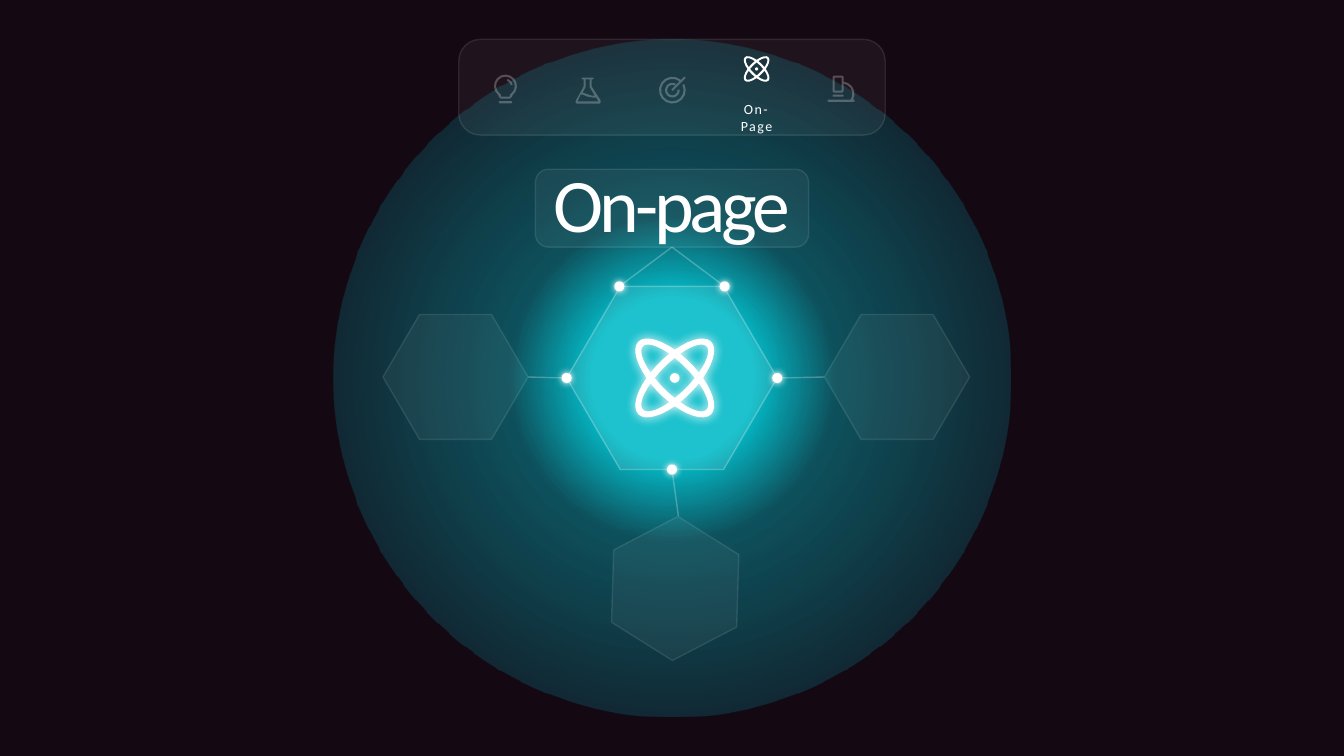
"""Build the On-page slide: an icon bar above a glowing hexagon network."""
from math import ceil, cos, radians, sin

from lxml.etree import SubElement
from pptx import Presentation
from pptx.dml.color import RGBColor
from pptx.enum.shapes import MSO_CONNECTOR as LINK, MSO_SHAPE as SHAPE
from pptx.enum.text import MSO_ANCHOR as ANCHOR, MSO_AUTO_SIZE as FIT, PP_ALIGN as ALIGN
from pptx.oxml.ns import qn
from pptx.util import Pt

BACKGROUND, WHITE, GLOW = "140812", "FFFFFF", "00F1FF"
CENTER = (480, 270)
GLOW_SIZE = 484
GLOW_STOPS = [(17, 77), (34, 31), (100, 0)]
BAR = (480, 62.3, 304.6, 68.4)
LABEL = ("On-Page", 10, 1.1)
LABEL_PLACE = (513.4, 68.4, 54, 19.4)
LABEL_FORMAT = {"word_wrap": True, "auto_size": FIT.SHAPE_TO_FIT_TEXT}
TITLE = ("On-page", 54, -3)
TITLE_PLACE = (480, 148.7, 195.1, 55.6)
TITLE_FORMAT = {"margin_left": Pt(7.2), "margin_top": Pt(3.6), "margin_right": Pt(7.2),
                "margin_bottom": Pt(11.5), "vertical_anchor": ANCHOR.MIDDLE, "word_wrap": False}

HUB_SIZE = (150.4, 130.8)
SATELLITE_SIZE = (103.7, 89.3)
SATELLITES = [(640.8, 269.3, 0), (325.4, 269.3, 0), (482.3, 420.4, 32.1)]
HUB_X, HUB_Y = HUB_SIZE[0] / 2, HUB_SIZE[1] / 2
PEAK = (480, 176.5)
DOTS = {"left": (480 - HUB_X, 270), "right": (480 + HUB_X, 270), "bottom": (480, 270 + HUB_Y),
        "top left": (480 - HUB_X / 2, 270 - HUB_Y), "top right": (480 + HUB_X / 2, 270 - HUB_Y)}
LINKS = [((377.3, 269.3), "left"), ((588.9, 269.3), "right"), ((484.6, 368.7), "bottom"),
         (PEAK, "top left"), (PEAK, "top right")]
DOT_SIZE = 7.2

ICON_UNIT = 0.72
BULB = [
    [(17, 27.4, 1.1, -90, 90), (6, 27.4, 1.1, 90, 270)],
    [(11.5, 11.4, 11.4, 129, 411), (18, 22), (16, 24), (7, 24), (5, 22)],
    [(11.5, 11.4, 9.3, 129, 411), (16, 20), (16, 22), (7, 22), (7, 20)],
    [(11.5, 11.4, 7.3, -75, -10), (11.5, 11.4, 5.3, -10, -75)],
]
FLASK = [
    [(17, 1, 1, -90, 90), (16, 2), (16, 9), (24.5, 22), (23, 24, 2, -20, 90),
     (2, 24, 2, 90, 200), (8, 9), (8, 2), (7, 1, 1, 90, 270)],
    [(10, 2), (14, 2), (14, 9.5), (19, 18), (16, 18), (13, 17), (7, 15), (10, 9.5)],
    [(2, 23.8), (5, 17), (7, 17), (12, 19), (18, 20), (20.5, 20), (23, 23.8)],
]
TARGET = [
    [(14, 13.5, 13.3, -27, 310), (14, 13.5, 11.2, 310, -27)],
    [(14, 13.5, 7.3, -5, 298), (14, 13.5, 5.2, 298, -5)],
    [(13, 12.9), (26, 0), (27.3, 1.3), (14.4, 14.2)],
]
MICROSCOPE = [
    [(26, 25, 1, -90, 90), (1, 25, 1, 90, 270)],
    [(7, 2, 2, 180, 270), (14, 2, 2, 270, 360), (14, 15, 2, 0, 90), (7, 15, 2, 90, 180)],
    [(7, 2), (14, 2), (14, 15), (7, 15)],
    [(15, 20, 1, -90, 90), (6, 20, 1, 90, 270)],
    [(14.5, 18.2, 12.3, -83, 28), (14.5, 18.2, 10.2, 33, -82)],
]
BAR_ICONS = [(BULB, 352.8, 53.3), (FLASK, 411.1, 55.4), (TARGET, 470.2, 54.7),
             (MICROSCOPE, 591.1, 54)]
ATOM_OUTER, ATOM_INNER, ATOM_CORE = (51, 21.5), (44.5, 14.9), 4.8
BAR_ATOM, HUB_ATOM = (540.5, 49.3, 0.234), (482, 270, 0.72)


def color(text):
    return RGBColor.from_string(text)


def add_alpha(element, opacity):
    if opacity < 100:
        SubElement(element, qn("a:alpha"), val=str(opacity * 1000))


def paint(shape, fill, line=None, width=1):
    shape.shadow.inherit = False
    for style, opacity, where in [(shape.fill, fill, "a:solidFill"),
                                  (shape.line.fill, line, "a:ln/a:solidFill")]:
        if opacity is None:
            style.background()
            continue
        style.solid()
        style.fore_color.rgb = color(WHITE)
        add_alpha(shape.element.spPr.xpath(where + "/a:srgbClr")[0], opacity)
    if line:
        shape.line.width = Pt(width)


def add_halo(shape, blur, angle=0):
    effects = shape.element.spPr.find(qn("a:effectLst"))
    halo = SubElement(effects, qn("a:outerShdw"), blurRad=str(Pt(blur)), dist="0",
                      dir=str(angle * 60000), algn="ctr", rotWithShape="0")
    SubElement(halo, qn("a:srgbClr"), val=WHITE)


def add_centered(shapes, kind, x, y, width, height):
    return shapes.add_shape(kind, *map(Pt, (x - width / 2, y - height / 2, width, height)))


def write(shape, text, size, spacing, settings):
    for name, value in settings.items():
        setattr(shape.text_frame, name, value)
    para = shape.text_frame.paragraphs[0]
    para.alignment = ALIGN.CENTER
    span = para.add_run()
    span.text = text
    for name, value in {"name": "Calibri", "size": Pt(size)}.items():
        setattr(span.font, name, value)
    span.font.color.rgb = color(WHITE)
    shape.element.xpath(".//a:rPr")[0].set("spc", str(round(spacing * 100)))


def arc(x, y, radius, start, end):
    steps = ceil(abs(end - start) / 25)
    angles = [radians(start + (end - start) * step / steps) for step in range(steps + 1)]
    return [(x + radius * cos(angle), y + radius * sin(angle)) for angle in angles]


def expand(contour):
    return [point for part in contour for point in (arc(*part) if len(part) == 5 else [part])]


def orbit(axes, tilt, start, end, steps):
    turn, points = radians(tilt), []
    for step in range(steps + 1):
        angle = radians(start + (end - start) * step / steps)
        along, aside = axes[0] * cos(angle), axes[1] * sin(angle)
        points.append((along * cos(turn) - aside * sin(turn), along * sin(turn) + aside * cos(turn)))
    return points


def atom(detail):
    tilts = range(45, 360, 90)
    outline = [point for tilt in tilts for point in orbit(ATOM_OUTER, tilt, -67.1, 67.1, detail)]
    middle = [point for tilt in tilts for point in orbit(ATOM_INNER, tilt - 90, 71.5, 108.5, 3)]
    tips = [orbit(ATOM_INNER, tilt, -62.7, 62.7, detail) + orbit(ATOM_OUTER, tilt - 90, 105.3, 74.7, 3)
            for tilt in tilts]
    return [outline, middle, *tips, arc(0, 0, ATOM_CORE, 0, 360)]


def draw(shapes, contours, x, y, unit, opacity):
    builder = None
    for contour in contours:
        first, *rest = [(Pt(x + across * unit), Pt(y + down * unit)) for across, down in contour]
        if builder:
            builder.move_to(*first)
        else:
            builder = shapes.build_freeform(*first)
        builder.add_line_segments(rest)
    icon = builder.convert_to_shape()
    paint(icon, opacity)
    return icon


def add_glow(shapes):
    glow = add_centered(shapes, SHAPE.OVAL, *CENTER, GLOW_SIZE, GLOW_SIZE)
    paint(glow, None)
    blank = glow.element.spPr.find(qn("a:noFill"))
    gradient = SubElement(glow.element.spPr, qn("a:gradFill"), rotWithShape="1")
    glow.element.spPr.replace(blank, gradient)
    stops = SubElement(gradient, qn("a:gsLst"))
    for place, opacity in GLOW_STOPS:
        stop = SubElement(stops, qn("a:gs"), pos=str(place * 1000))
        add_alpha(SubElement(stop, qn("a:srgbClr"), val=GLOW), opacity)
    circle = SubElement(gradient, qn("a:path"), {"path": "circle"})
    SubElement(circle, qn("a:fillToRect"), dict.fromkeys("ltrb", "50000"))


def add_bar(shapes):
    bar = add_centered(shapes, SHAPE.ROUNDED_RECTANGLE, *BAR)
    bar.adjustments[0] = 0.225
    paint(bar, 5, 10)
    for contours, x, y in BAR_ICONS:
        draw(shapes, map(expand, contours), x, y, ICON_UNIT, 25)
    draw(shapes, atom(8), *BAR_ATOM, 100)
    write(shapes.add_textbox(*map(Pt, LABEL_PLACE)), *LABEL, LABEL_FORMAT)


def add_network(shapes):
    hexagons = [(*CENTER, 0, HUB_SIZE, 10, 25)]
    hexagons += [(*place, SATELLITE_SIZE, 5, 10) for place in SATELLITES]
    for x, y, turn, size, fill, line in hexagons:
        cell = add_centered(shapes, SHAPE.HEXAGON, x, y, *size)
        cell.adjustments[0] = 0.293
        cell.rotation = turn
        paint(cell, fill, line)
    for start, dot in LINKS:
        link = shapes.add_connector(LINK.STRAIGHT, *map(Pt, start + DOTS[dot]))
        link.line.color.rgb = color(WHITE)
        link.line.width = Pt(1)
        add_alpha(link.element.spPr.xpath("a:ln/a:solidFill/a:srgbClr")[0], 25)
        SubElement(link.element.spPr, qn("a:effectLst"))
    title = add_centered(shapes, SHAPE.ROUNDED_RECTANGLE, *TITLE_PLACE)
    paint(title, 5, 10)
    write(title, *TITLE, TITLE_FORMAT)
    for x, y in DOTS.values():
        dot = add_centered(shapes, SHAPE.OVAL, x, y, DOT_SIZE, DOT_SIZE)
        paint(dot, 100, 10, 1.5)
        add_halo(dot, 5)
    add_halo(draw(shapes, atom(14), *HUB_ATOM, 100), 8, 90)


deck = Presentation()
deck.slide_width, deck.slide_height = Pt(960), Pt(540)
page = deck.slides.add_slide(deck.slide_layouts[6])
page.background.fill.solid()
page.background.fill.fore_color.rgb = color(BACKGROUND)
add_glow(page.shapes)
add_bar(page.shapes)
add_network(page.shapes.add_group_shape().shapes)
deck.save("out.pptx")
